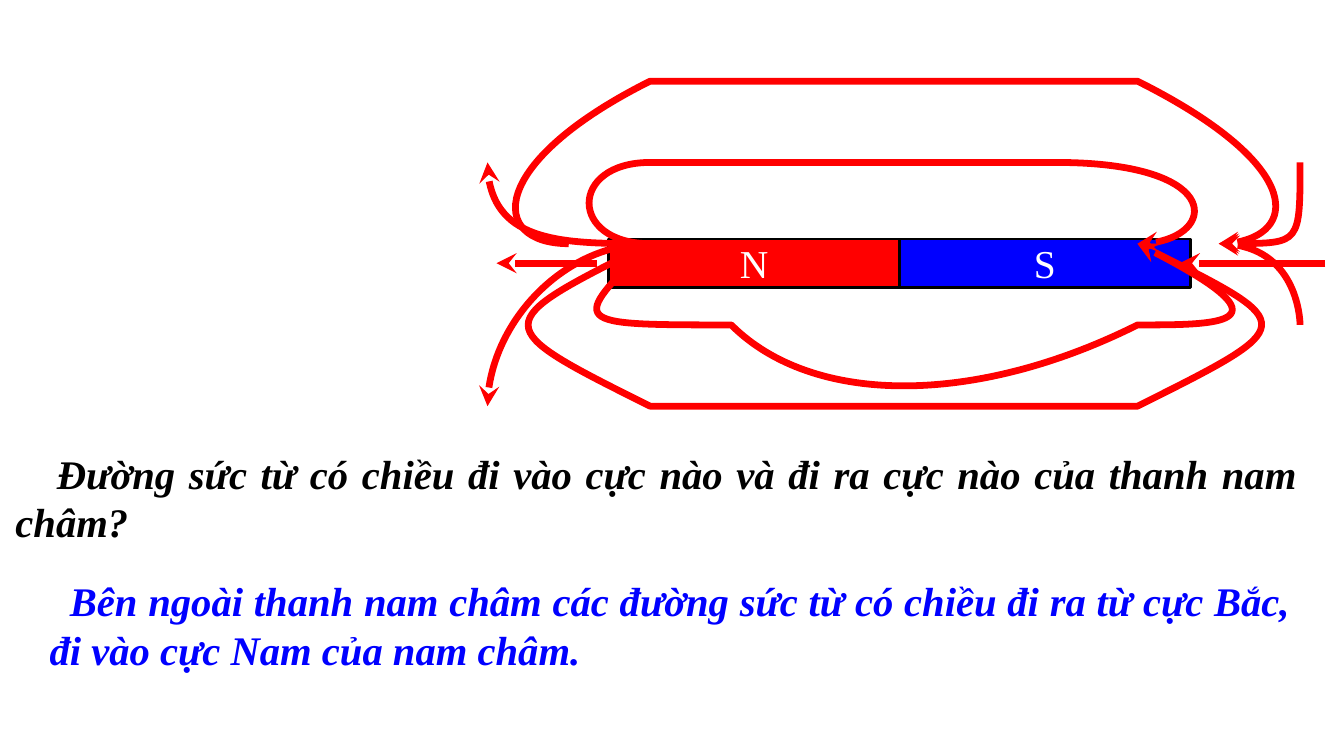
from math import ceil, cos, radians, sin, tan

from lxml import etree
from pptx import Presentation
from pptx.dml.color import RGBColor
from pptx.enum.shapes import MSO_CONNECTOR, MSO_SHAPE
from pptx.enum.text import MSO_ANCHOR, PP_ALIGN
from pptx.oxml.ns import qn
from pptx.util import Inches, Pt

RECT = MSO_SHAPE.RECTANGLE
LINE = MSO_CONNECTOR.STRAIGHT
MIDDLE = MSO_ANCHOR.MIDDLE
CENTER, JUSTIFY = PP_ALIGN.CENTER, PP_ALIGN.JUSTIFY

WIDE, HIGH = 16.54, 9.06
FONT = "Times New Roman"
RED, BLUE, BLACK, WHITE = "FF0000", "0000FF", "000000", "FFFFFF"

# Ellipse arcs around the magnet's middle, in field units:
# centre x, centre y, radius x, radius y, first angle, last angle
ARCS = [
    (0, 0.75, 4.41, 1.16, 217.7, -39.6),
    (0.07, 0.55, 4.07, 0.78, 210, -35.4),
    (-0.1, -0.56, 4.04, 0.95, 144.7, 390.3),
    (0, -0.8, 4.41, 1.41, 145.2, 398.5),
    (-3.49, 1.51, 1.47, 1.51, 270, 180),
    (3.72, 1.16, 1.52, 1.1, 0, -90),
    (3.79, -1.45, 1.37, 1.35, 0, 90),
    (-3.51, -1.21, 1.45, 1.22, 90, 180),
]
# Straight field lines on the axis: first x, last x
RAYS = [(5.24, 3.45), (-3.72, -4.96)]


def color(code):
    return RGBColor.from_string(code)


def style(para, size, code, align):
    para.alignment = align
    para.font.name = FONT
    para.font.size = Pt(size)
    para.font.color.rgb = color(code)


def stroke(shape):
    """Give a field line its red pen and its arrowhead."""
    shape.line.color.rgb = color(RED)
    shape.line.width = Pt(6)
    pen = shape.line._get_or_add_ln()
    etree.SubElement(pen, qn("a:tailEnd"), type="stealth")


def bezier(cx, cy, rx, ry, first, last):
    """Return the points of an ellipse arc as chained cubic curves."""
    count = ceil(abs(last - first) / 90)
    step = radians(last - first) / count
    pull = 4 / 3 * tan(step / 4)

    def spot(angle, shift):
        return (cx + rx * (cos(angle) - shift * sin(angle)),
                cy + ry * (sin(angle) + shift * cos(angle)))

    points = [spot(radians(first), 0)]
    for i in range(count):
        start = radians(first) + i * step
        end = start + step
        points += [spot(start, pull), spot(end, -pull), spot(end, 0)]
    return points


def curve(slide, points):
    """Draw an open outline, joining each three segments into a cubic."""
    pen = slide.shapes.build_freeform(*points[0], scale=Inches(1))
    pen.add_line_segments(points[1:], close=False)
    shape = pen.convert_to_shape()
    shape.shadow.inherit = False
    shape.fill.background()
    track = shape._element.find(".//" + qn("a:path"))
    parts = track.findall(qn("a:lnTo"))
    for i in range(0, len(parts), 3):
        cubic = etree.SubElement(track, qn("a:cubicBezTo"))
        for part in parts[i:i + 3]:
            cubic.append(part[0])
            track.remove(part)
    stroke(shape)


def magnet(slide, x, y, w, h):
    half = w / 2
    for left, name, fill, width in [(x + half, "S", BLUE, 2),
                                    (x, "N", RED, 2.25)]:
        pole = slide.shapes.add_shape(
            RECT, Inches(left), Inches(y), Inches(half), Inches(h))
        pole.shadow.inherit = False
        pole.fill.solid()
        pole.fill.fore_color.rgb = color(fill)
        pole.line.color.rgb = color(BLACK)
        pole.line.width = Pt(width)
        frame = pole.text_frame
        frame.word_wrap = False
        frame.vertical_anchor = MIDDLE
        frame.text = name
        style(frame.paragraphs[0], 35, WHITE, CENTER)


def field(slide, x, y, unit):
    """Draw all field lines around the middle of the magnet."""
    for cx, cy, rx, ry, first, last in ARCS:
        curve(slide, bezier(x + cx * unit, y + cy * unit,
                            rx * unit, ry * unit, first, last))
    for start, end in RAYS:
        ray = slide.shapes.add_connector(
            LINE, Inches(x + start * unit), Inches(y),
            Inches(x + end * unit), Inches(y))
        stroke(ray)
        etree.SubElement(ray._element.spPr, qn("a:effectLst"))


def note(slide, x, y, w, h, text, code, indent):
    box = slide.shapes.add_textbox(Inches(x), Inches(y), Inches(w), Inches(h))
    frame = box.text_frame
    frame.word_wrap = True
    frame.margin_left = frame.margin_right = Inches(0.15)
    frame.margin_top = frame.margin_bottom = Inches(0.07)
    frame.text = text
    para = frame.paragraphs[0]
    para._p.get_or_add_pPr().set("indent", str(Inches(indent)))
    style(para, 36, code, JUSTIFY)
    para.font.bold = para.font.italic = True


def main():
    deck = Presentation()
    deck.slide_width, deck.slide_height = Inches(WIDE), Inches(HIGH)
    slide = deck.slides.add_slide(deck.slide_layouts[6])
    x, y, w, h = 7.49, 2.94, 7.16, 0.6
    magnet(slide, x, y, w, h)
    field(slide, x + w / 2, y + h / 2, w / 7.16)
    note(slide, 0.04, 5.45, 16.08, 1.36,
         "Đường sức từ có chiều đi vào cực nào và đi ra cực nào "
         "của thanh nam châm?", BLACK, 0.51)
    note(slide, 0.46, 7.02, 15.58, 1.36,
         "Bên ngoài thanh nam châm các đường sức từ có chiều đi ra "
         "từ cực Bắc, đi vào cực Nam của nam châm.", BLUE, 0.25)
    deck.save("out.pptx")


if __name__ == "__main__":
    main()
